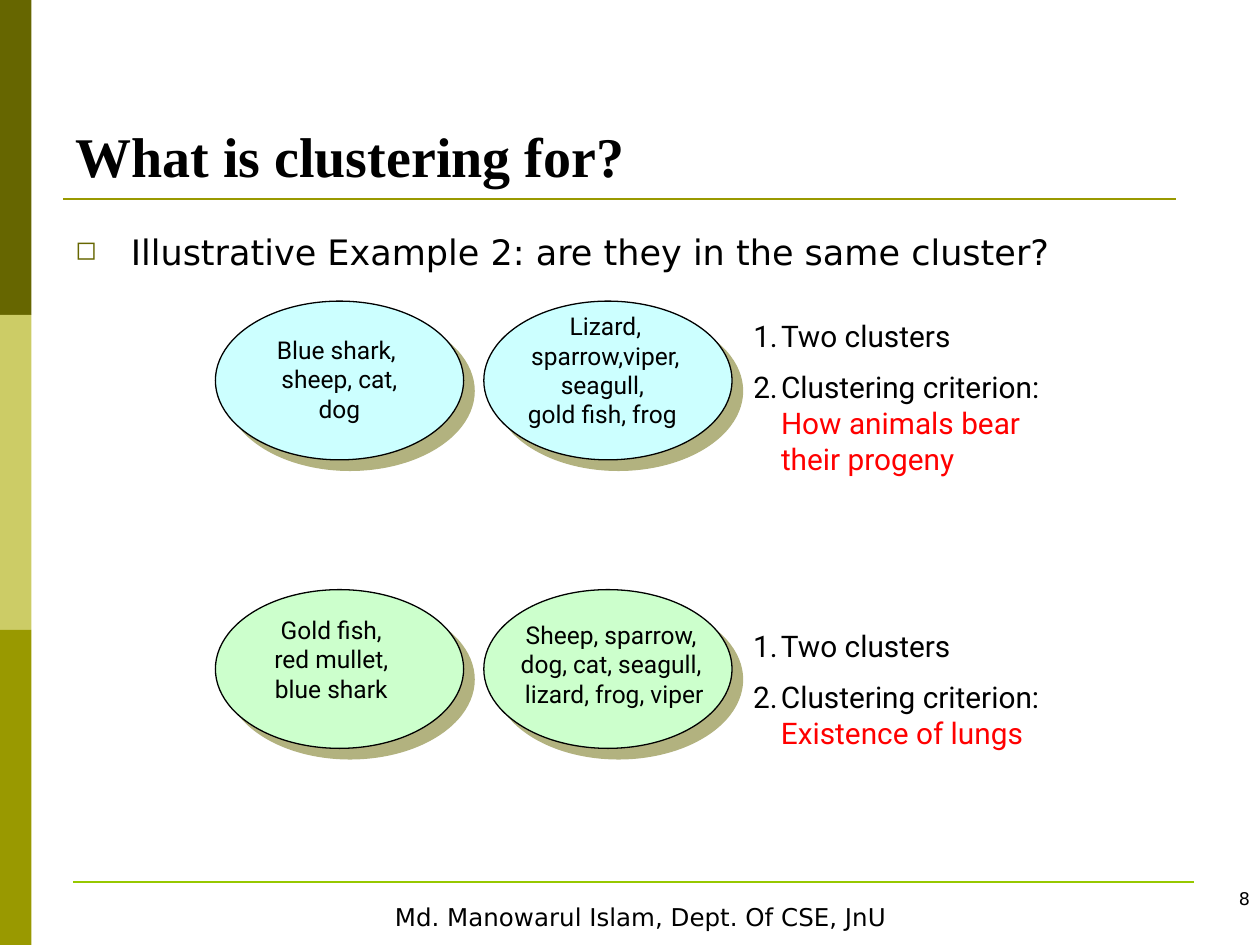
from lxml import etree
from pptx import Presentation
from pptx.dml.color import RGBColor
from pptx.enum.shapes import MSO_CONNECTOR, MSO_SHAPE
from pptx.enum.text import MSO_ANCHOR, PP_ALIGN
from pptx.oxml.ns import qn
from pptx.util import Inches, Pt

RECT, OVAL = MSO_SHAPE.RECTANGLE, MSO_SHAPE.OVAL
LINE = MSO_CONNECTOR.STRAIGHT
LEFT, MID, RIGHT = PP_ALIGN.LEFT, PP_ALIGN.CENTER, PP_ALIGN.RIGHT
TOP, CENTER, BOTTOM = MSO_ANCHOR.TOP, MSO_ANCHOR.MIDDLE, MSO_ANCHOR.BOTTOM
SANS, SERIF, ROBOTO = "DejaVu Sans", "Times New Roman", "Roboto"
BLACK, RED, OLIVE = "000000", "FF0000", "666600"


def color(code):
    return RGBColor.from_string(code)


def node(parent, tag, **attrs):
    item = etree.SubElement(parent, qn(tag))
    for key, value in attrs.items():
        item.set(key, str(value))
    return item


def add_block(shapes, kind, box, fill, edge=None, width=0.75):
    shape = shapes.add_shape(kind, *map(Inches, box))
    shape.shadow.inherit = False
    shape.fill.solid()
    shape.fill.fore_color.rgb = color(fill)
    if edge:
        shape.line.color.rgb = color(edge)
        shape.line.width = Pt(width)
    else:
        shape.line.fill.background()
    return shape


def add_rule(shapes, left, right, y, code):
    rule = shapes.add_connector(LINE, Inches(left), Inches(y), Inches(right), Inches(y))
    rule.line.color.rgb = color(code)
    rule.line.width = Pt(1.5)
    node(rule._element.spPr, "a:effectLst")


def add_oval(shapes, box, fill):
    oval = add_block(shapes, OVAL, box, fill, BLACK)
    effects = oval._element.spPr.find(qn("a:effectLst"))
    shade = node(effects, "a:outerShdw", blurRad=0, dist=Pt(8.5), dir=45 * 60000,
                 algn="ctr", rotWithShape=0)
    tint = node(shade, "a:srgbClr", val=OLIVE)
    node(tint, "a:alpha", val=50000)


def add_run(para, text, size, font, code=BLACK, bold=False):
    """Add text in one style; a newline is a line break."""
    for i, part in enumerate(text.split("\n")):
        if i:
            para.add_line_break()
        if part:
            run = para.add_run()
            run.text = part
            run.font.size = Pt(size)
            run.font.name = font
            run.font.bold = bold
            run.font.color.rgb = color(code)


def add_box(shapes, box, wrap=True, anchor=TOP):
    frame = shapes.add_textbox(*map(Inches, box)).text_frame
    frame.word_wrap = wrap
    frame.vertical_anchor = anchor
    return frame


def add_text(frame, lines, size, font, align=LEFT, bold=False):
    for i, line in enumerate(lines):
        para = frame.add_paragraph() if i else frame.paragraphs[0]
        para.alignment = align
        add_run(para, line, size, font, bold=bold)


def set_hang(para, indent):
    props = para._p.get_or_add_pPr()
    props.set("marL", str(Inches(indent)))
    props.set("indent", str(-Inches(indent)))
    return props


def add_notes(shapes, box, reason):
    """Numbered verdict beside a pair of clusters."""
    frame = add_box(shapes, box)
    items = [[("Two clusters", BLACK)],
             [("Clustering criterion:\n", BLACK), (reason, RED)]]
    for i, runs in enumerate(items):
        para = frame.add_paragraph() if i else frame.paragraphs[0]
        props = set_hang(para, 0.22)
        node(props, "a:buFont", typeface=ROBOTO)
        node(props, "a:buAutoNum", type="arabicPeriod")
        node(node(props, "a:tabLst"), "a:tab", pos=Inches(0.22), algn="l")
        if i:
            para.space_before = Pt(9)
        for text, code in runs:
            add_run(para, text, 17, ROBOTO, code)


def add_pair(slide, top, fill, labels, notes, reason):
    shapes = slide.shapes.add_group_shape().shapes
    for left in (1.71, 3.84):
        add_oval(shapes, (left, top, 1.97, 1.26), fill)
    for box, wrap, lines in labels:
        add_text(add_box(shapes, box, wrap), lines, 14, ROBOTO, MID)
    add_notes(shapes, notes, reason)


def add_frame(shapes):
    # Side bands, rules and footer
    for i, code in enumerate((OLIVE, "CCCC66", "999900")):
        add_block(shapes, RECT, (0, 2.5 * i, 0.25, 2.5), code)
    add_rule(shapes, 0.5, 9.33, 1.58, "999900")
    add_rule(shapes, 0.58, 9.48, 7, "96C800")
    foot = add_block(shapes, RECT, (0.5, 7.1, 9.17, 0.35), "FFFFFF", "FFFFFF", 2).text_frame
    foot.word_wrap = False
    foot.vertical_anchor = CENTER
    add_text(foot, ["Md. Manowarul Islam, Dept. Of CSE, JnU"], 14, SANS, MID)


def add_heads(shapes):
    # Title, lead line and page number
    title = add_box(shapes, (0.5, 0.3, 9, 1.25), anchor=BOTTOM)
    add_text(title, ["What is clustering for?"], 32, SERIF, bold=True)

    lead = add_box(shapes, (0.5, 1.75, 9, 4.95)).paragraphs[0]
    lead.line_spacing = 1.1
    props = set_hang(lead, 0.44)
    node(node(props, "a:buClr"), "a:srgbClr", val=OLIVE)
    node(props, "a:buSzPct", val=75000)
    node(props, "a:buChar", char="◻")
    add_run(lead, "Illustrative Example 2: are they in the same cluster?", 20, SANS)

    page = add_box(shapes, (7.67, 7.01, 2.33, 0.52))
    page.margin_left = page.margin_right = Inches(0.08)
    page.margin_top = page.margin_bottom = Inches(0.04)
    add_text(page, ["8"], 10, SANS, RIGHT)


def main():
    deck = Presentation()
    deck.slide_width, deck.slide_height = Inches(10), Inches(7.5)
    slide = deck.slides.add_slide(deck.slide_layouts[6])
    add_frame(slide.shapes)
    add_heads(slide.shapes)

    # Clusters by how young are born
    add_pair(slide, 2.39, "CCFFFF", [
        ((2.08, 2.61, 1.23, 0.81), False, ["Blue shark, ", "sheep, cat,", "dog"]),
        ((4, 2.42, 1.61, 1.04), True,
         ["Lizard, sparrow,viper, seagull, ", "gold fish, frog "]),
    ], (5.88, 2.47, 3.12, 1.39), "How animals bear\ntheir progeny")

    # Clusters by lungs
    add_pair(slide, 4.68, "CCFFCC", [
        ((2, 4.83, 1.26, 1.04), True, ["Gold fish, red mullet, blue shark"]),
        ((4, 4.87, 1.75, 0.81), False,
         ["Sheep, sparrow, \ndog, cat, seagull, \nlizard, frog, viper"]),
    ], (5.88, 4.93, 2.87, 1.1), "Existence of lungs")
    deck.save("out.pptx")


if __name__ == "__main__":
    main()
